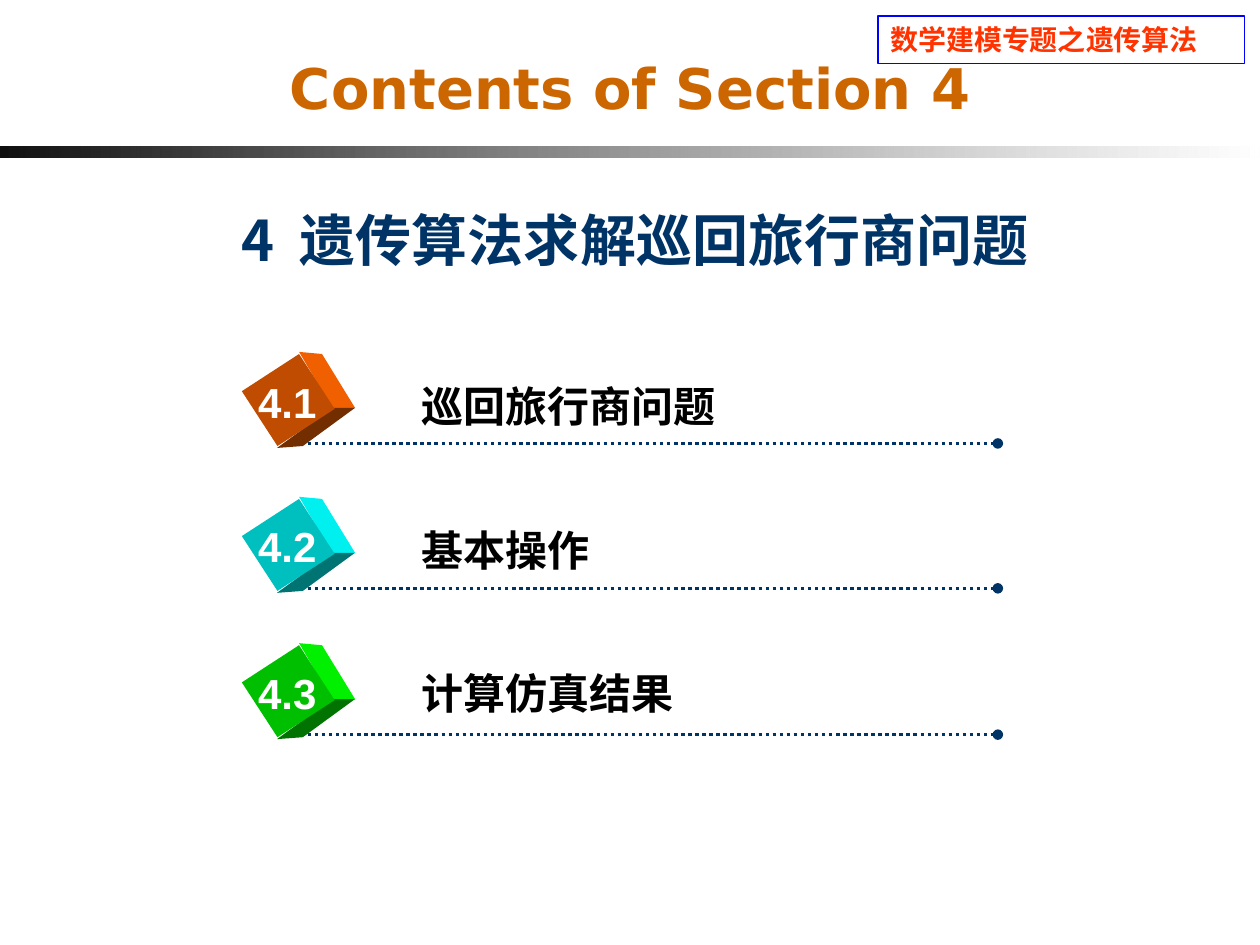
from dataclasses import dataclass
from typing import Any

from lxml.etree import SubElement
from pptx import Presentation
from pptx.dml.color import RGBColor as Rgb
from pptx.enum.dml import MSO_LINE as Dash
from pptx.enum.shapes import MSO_CONNECTOR as Link, MSO_SHAPE as Preset
from pptx.enum.text import MSO_ANCHOR as Anchor, PP_ALIGN as Align
from pptx.oxml.ns import qn
from pptx.util import Pt


@dataclass(frozen=True)
class Theme:
    title: str = "CC6600"
    navy: str = "003366"
    topic: str = "000000"
    number: str = "FFFFFF"
    banner: str = "FF3300"
    banner_border: str = "0000FF"
    bar_start: str = "080808"
    bar_end: str = "FFFFFF"
    heading_size: int = 32
    topic_size: int = 24
    banner_size: int = 16
    latin: str = "Arial"
    title_font: str = "DejaVu Sans"
    banner_font: str = "Lato"
    chinese: str = "Noto Sans CJK SC"


@dataclass(frozen=True)
class Box:
    left: float
    top: float
    width: float
    height: float


@dataclass(frozen=True)
class Section:
    number: str
    topic: str
    color: str
    rule_y: float
    number_y: float
    topic_y: float
    topic_width: float


THEME = Theme()
SECTIONS = (
    Section("4.1", "巡回旅行商问题", "FF6600", 253.4, 211.7, 213.8, 270),
    Section("4.2", "基本操作", "00FFFF", 336.2, 293.8, 295.9, 270),
    Section("4.3", "计算仿真结果", "00FF00", 419.8, 378, 378, 324),
)
RULE_LEFT, RULE_RIGHT = 167.8, 570.2
FRONT = Box(146, -44.3, 37.4, 39)
FRONT_ANGLE = 57
FRONT_SHADE, RIGHT_SHADE, BOTTOM_SHADE = 0.75, 0.94, 0.45
RIGHT_FACE = ((170.9, -52.3), (184, -51.1), (202.9, -20.3), (189.7, -20.3))
BOTTOM_FACE = ((189.7, -20.3), (202.9, -20.3), (173.1, 1.5), (158.3, 2.6))


def apply(target: Any, values: dict[str, Any]) -> None:
    for key, value in values.items():
        setattr(target, key, value)


def place(box: Box) -> tuple[Pt, Pt, Pt, Pt]:
    return Pt(box.left), Pt(box.top), Pt(box.width), Pt(box.height)


def shaded(color: str, factor: float) -> Rgb:
    return Rgb(*(round(channel * factor) for channel in Rgb.from_string(color)))


def write(frame: Any, pieces: dict[str, str], size: int, color: str,
          align: Align = Align.LEFT, anchor: Anchor = Anchor.TOP,
          wrap: bool = True) -> None:
    apply(frame, {"word_wrap": wrap, "vertical_anchor": anchor})
    paragraph = frame.paragraphs[0]
    apply(paragraph, {"alignment": align, "space_before": Pt(0)})
    for text, font_name in pieces.items():
        run = paragraph.add_run()
        run.text = text
        apply(run.font, {"name": font_name, "size": Pt(size), "bold": True})
        run.font.color.rgb = Rgb.from_string(color)
        SubElement(run.font._element, qn("a:ea"), typeface=THEME.chinese)


def add_label(slide: Any, box: Box, text: str, font_name: str, size: int,
              color: str, align: Align = Align.LEFT, wrap: bool = True) -> None:
    label = slide.shapes.add_textbox(*place(box))
    write(label.text_frame, {text: font_name}, size, color, align, wrap=wrap)


def paint(face: Any, color: Rgb) -> None:
    face.shadow.inherit = False
    face.fill.solid()
    face.fill.fore_color.rgb = color
    face.line.fill.background()


def add_bar(slide: Any) -> None:
    bar = slide.shapes.add_shape(Preset.RECTANGLE, *place(Box(0, 84, 720, 6)))
    bar.shadow.inherit = False
    bar.line.fill.background()
    bar.fill.gradient()
    bar.fill.gradient_angle = 0
    ends = ((THEME.bar_start, 0, 97), (THEME.bar_end, 1, 70))
    for stop, (color, position, opacity) in zip(bar.fill.gradient_stops, ends):
        stop.color.rgb = Rgb.from_string(color)
        stop.position = position
        tint = stop._gs.find(qn("a:srgbClr"))
        SubElement(tint, qn("a:alpha"), val=str(opacity * 1000))


def add_banner(slide: Any) -> None:
    banner = slide.shapes.add_shape(
        Preset.RECTANGLE, *place(Box(501.8, 9.2, 209.5, 27.2)))
    banner.shadow.inherit = False
    banner.fill.background()
    banner.line.color.rgb = Rgb.from_string(THEME.banner_border)
    banner.line.width = Pt(0.75)
    pieces = {"数学建模专题之": THEME.banner_font, "遗传算法": THEME.latin}
    write(banner.text_frame, pieces, THEME.banner_size, THEME.banner)


def add_rule(slide: Any, y: float) -> None:
    rule = slide.shapes.add_connector(
        Link.STRAIGHT, Pt(RULE_LEFT), Pt(y), Pt(RULE_RIGHT), Pt(y))
    rule.line.color.rgb = Rgb.from_string(THEME.navy)
    apply(rule.line, {"width": Pt(2), "dash_style": Dash.ROUND_DOT})
    SubElement(rule.line._get_or_add_ln(), qn("a:tailEnd"), type="oval")
    SubElement(rule._element.spPr, qn("a:effectLst"))


def add_cube(slide: Any, color: str, base: float) -> None:
    sides = ((RIGHT_FACE, RIGHT_SHADE), (BOTTOM_FACE, BOTTOM_SHADE))
    for corners, shade in sides:
        points = [(Pt(x), Pt(base + y)) for x, y in corners]
        outline = slide.shapes.build_freeform(*points[0])
        outline.add_line_segments(points[1:], close=True)
        paint(outline.convert_to_shape(), shaded(color, shade))
    front_box = Box(FRONT.left, base + FRONT.top, FRONT.width, FRONT.height)
    front = slide.shapes.add_shape(Preset.RECTANGLE, *place(front_box))
    front.rotation = FRONT_ANGLE
    paint(front, shaded(color, FRONT_SHADE))


def add_section(slide: Any, section: Section) -> None:
    add_rule(slide, section.rule_y)
    add_cube(slide, section.color, section.rule_y)
    add_label(slide, Box(234, section.topic_y, section.topic_width, 36),
              section.topic, THEME.latin, THEME.topic_size, THEME.topic)
    add_label(slide, Box(140.4, section.number_y, 47.5, 36), section.number,
              THEME.latin, THEME.topic_size, THEME.number, Align.CENTER, False)


def main() -> None:
    deck = Presentation()
    apply(deck, {"slide_width": Pt(720), "slide_height": Pt(540)})
    slide = deck.slides.add_slide(deck.slide_layouts[5])
    add_bar(slide)
    add_banner(slide)
    title = slide.shapes.title
    apply(title, dict(zip(("left", "top", "width", "height"),
                          place(Box(48.2, 12.2, 624.2, 75.6)))))
    write(title.text_frame, {"Contents of Section 4": THEME.title_font},
          THEME.heading_size, THEME.title, Align.CENTER, Anchor.MIDDLE)
    for section in SECTIONS:
        add_section(slide, section)
    add_label(slide, Box(90, 113.8, 545.8, 45.4), "4  遗传算法求解巡回旅行商问题",
              THEME.chinese, THEME.heading_size, THEME.navy, Align.CENTER)
    deck.save("out.pptx")


if __name__ == "__main__":
    main()
